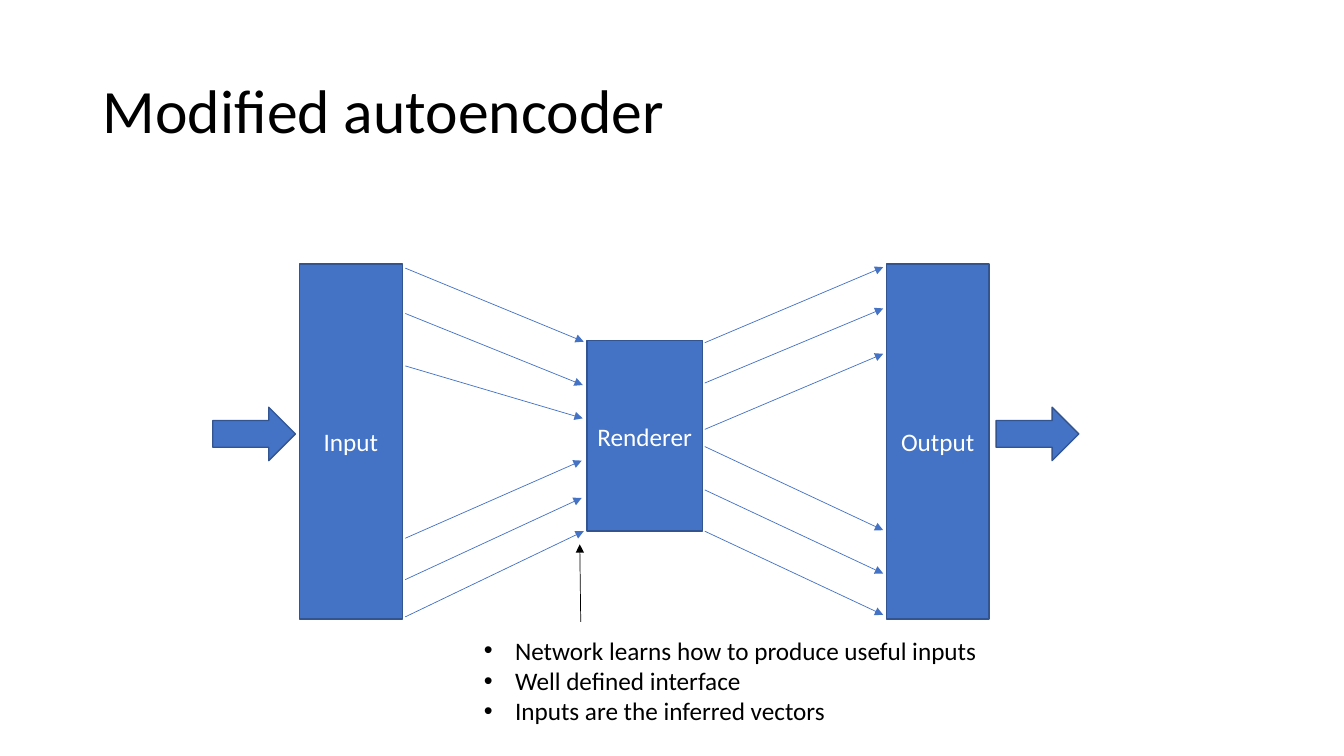
from lxml import etree
from pptx import Presentation
from pptx.dml.color import RGBColor
from pptx.enum.shapes import MSO_CONNECTOR, MSO_SHAPE
from pptx.enum.text import MSO_ANCHOR, PP_ALIGN
from pptx.oxml.ns import qn
from pptx.util import Inches, Pt

BLUE = RGBColor(0x44, 0x72, 0xC4)
DARK_BLUE = RGBColor(0x32, 0x54, 0x91)
BLACK = RGBColor(0, 0, 0)
WHITE = RGBColor(0xFF, 0xFF, 0xFF)


def write(frame, *lines, size=18, color=BLACK, align=PP_ALIGN.LEFT,
          anchor=MSO_ANCHOR.TOP, spacing=1.0, wrap=True, bullet=False):
    frame.word_wrap = wrap
    frame.vertical_anchor = anchor
    for i, line in enumerate(lines):
        para = frame.add_paragraph() if i else frame.paragraphs[0]
        para.text = line
        para.alignment = align
        para.line_spacing = spacing
        if bullet:
            props = para._p.get_or_add_pPr()
            props.set("marL", str(Inches(0.31)))
            props.set("indent", str(Inches(-0.31)))
            etree.SubElement(props, qn("a:buFont")).set("typeface", "Arial")
            etree.SubElement(props, qn("a:buChar")).set("char", "•")
        para.font.name = "Calibri"
        para.font.size = Pt(size)
        para.font.color.rgb = color


def add_arrow(x1, y1, x2, y2, color=BLUE):
    arrow = slide.shapes.add_connector(
        MSO_CONNECTOR.STRAIGHT, Inches(x1), Inches(y1), Inches(x2), Inches(y2))
    arrow.line.color.rgb = color
    arrow.line.width = Pt(0.5)
    etree.SubElement(arrow.line._get_or_add_ln(), qn("a:tailEnd")).set("type", "triangle")
    etree.SubElement(arrow._element.spPr, qn("a:effectLst"))


prs = Presentation()
prs.slide_width, prs.slide_height = Inches(13.33), Inches(7.5)
slide = prs.slides.add_slide(prs.slide_layouts[5])

# Title
title = slide.shapes.title
title.left, title.top = Inches(0.92), Inches(0.4)
title.width, title.height = Inches(11.5), Inches(1.45)
write(title.text_frame, "Modified autoencoder", size=44,
      anchor=MSO_ANCHOR.MIDDLE, spacing=0.9)

# Network blocks and the arrows into and out of them
RECT, ARROW = MSO_SHAPE.RECTANGLE, MSO_SHAPE.RIGHT_ARROW
for kind, label, *place in [
    (RECT, "Input", 2.97, 2.62, 1.02, 3.52),
    (RECT, "Renderer", 5.82, 3.38, 1.15, 1.89),
    (RECT, "Output", 8.79, 2.62, 1.02, 3.52),
    (ARROW, "", 2.11, 4.04, 0.82, 0.53),
    (ARROW, "", 9.88, 4.04, 0.82, 0.53),
]:
    block = slide.shapes.add_shape(kind, *map(Inches, place))
    block.shadow.inherit = False
    block.fill.solid()
    block.fill.fore_color.rgb = BLUE
    block.line.color.rgb = DARK_BLUE
    block.line.width = Pt(1)
    if label:
        write(block.text_frame, label, color=WHITE, align=PP_ALIGN.CENTER,
              anchor=MSO_ANCHOR.MIDDLE, wrap=False)

# Connections from input to renderer
for start_y, end_x, end_y in [
    (2.66, 5.79, 3.39), (3.11, 5.78, 3.82), (3.63, 5.78, 4.15),
    (5.34, 5.77, 4.57), (5.75, 5.77, 4.94), (6.12, 5.79, 5.27),
]:
    add_arrow(4.02, start_y, end_x, end_y)

# Connections from renderer to output
for start_y, end_y in [(3.4, 2.65), (3.8, 3.06), (4.26, 3.51),
                       (4.43, 5.26), (4.86, 5.69), (5.27, 6.1)]:
    add_arrow(6.99, start_y, 8.76, end_y)

# Notes on the renderer interface
add_arrow(5.76, 6.17, 5.75, 5.4, color=BLACK)
interface = slide.shapes.add_textbox(Inches(4.7), Inches(6.25), Inches(5.35), Inches(1.01))
write(interface.text_frame, "Network learns how to produce useful inputs",
      "Well defined interface", "Inputs are the inferred vectors", bullet=True)

prs.save("out.pptx")
